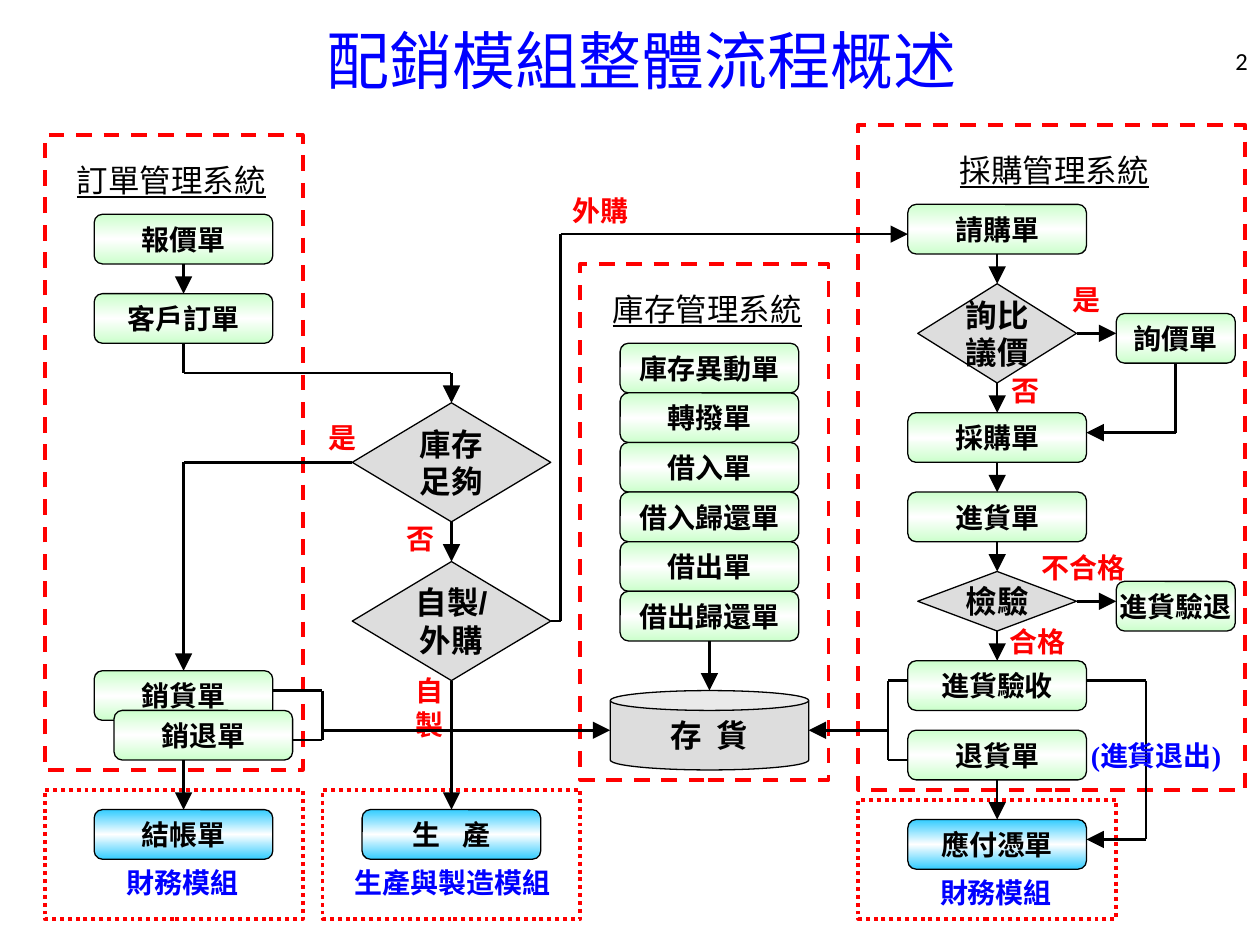
import copy
import itertools

import pptx
import pptx.dml.color
import pptx.enum.dml
import pptx.enum.shapes
import pptx.enum.text
import pptx.oxml
import pptx.oxml.ns
import pptx.util

Pt = pptx.util.Pt
SHAPE = pptx.enum.shapes.MSO_SHAPE
DASH = pptx.enum.dml.MSO_LINE
ALIGN = pptx.enum.text.PP_ALIGN
ANCHOR = pptx.enum.text.MSO_ANCHOR
qn = pptx.oxml.ns.qn

GRID = 5.67  # points per grid step; boxes and positions count these steps
NODE_W, NODE_H = 18, 5
TOP, LEFT, BOTTOM, RIGHT = range(4)

COLORS = {
    "black": "000000", "white": "FFFFFF", "blue": "0000FF", "red": "FF0000",
    "green": "CCFFCC", "sky": "33CCFF", "gray": "DDDDDD",
}
NODE = dict(size=Pt(16), name="Arial", bold=True)
DECISION = dict(size=Pt(18), name="Arial", bold=True)
STOCK = dict(size=Pt(18), name="Noto Sans CJK SC", bold=True)
HEADING = dict(size=Pt(18), name="Arial", underline=True)
MODULE = dict(size=Pt(16), name="Times New Roman", bold=True)
TITLE = dict(size=Pt(36), name="Times New Roman")
NUMBER = dict(size=Pt(14), name="Calibri")


def rgb(color):
    return pptx.dml.color.RGBColor.from_string(COLORS[color])


def steps(*counts):
    return [Pt(GRID * n) for n in counts]


def write(sp, text, fmt, color="black", align=ALIGN.CENTER, wrap=False,
          anchor=ANCHOR.MIDDLE, spacing=None):
    tf = sp.text_frame
    tf.word_wrap = wrap
    tf.vertical_anchor = anchor
    for i, line in enumerate(text.split("\n")):
        p = tf.add_paragraph() if i else tf.paragraphs[0]
        p.alignment = align
        r = p.add_run()
        r.text = line
        for key, value in fmt.items():
            setattr(r.font, key, value)
        r.font.color.rgb = rgb(color)
        if spacing:
            r._r.get_or_add_rPr().set("spc", str(spacing))


def add_text(s, x, y, w, h, text, fmt, color="black", **layout):
    sp = s.shapes.add_textbox(*steps(x, y, w, h))
    write(sp, text, fmt, color, **layout)
    return sp


def add_caption(s, x, y, w, text, fmt, color="black"):
    add_text(s, x, y, w, 5, text, fmt, color, align=ALIGN.LEFT, wrap=True,
             anchor=ANCHOR.TOP)


def add_label(s, x, y, text, w=8, h=5, fmt=NODE, color="red"):
    """Centred label without side margins, red beside a branch."""
    tf = add_text(s, x, y, w, h, text, fmt, color).text_frame
    tf.margin_left = tf.margin_right = Pt(0)


def add_outlined(s, kind, x, y, w, h, line="black", width=0.75):
    sp = s.shapes.add_shape(kind, *steps(x, y, w, h))
    sp.shadow.inherit = False
    sp.line.color.rgb = rgb(line)
    sp.line.width = Pt(width)
    return sp


def add_frame(s, box, dash):
    sp = add_outlined(s, SHAPE.RECTANGLE, *box, line="red", width=2.25)
    sp.fill.background()
    sp.line.dash_style = dash


def add_node(s, x, y, text, w=NODE_W, color="green", spacing=None):
    sp = add_outlined(s, SHAPE.ROUNDED_RECTANGLE, x, y, w, NODE_H)
    sp.fill.gradient()
    sp.fill.gradient_angle = 90
    stops = sp._element.spPr.find(qn("a:gradFill")).find(qn("a:gsLst"))
    stops.insert(1, copy.deepcopy(stops[0]))
    for stop, place, name in zip(sp.fill.gradient_stops, (0, 0.5, 1),
                                 (color, "white", color)):
        stop.position = place
        stop.color.rgb = rgb(name)
    write(sp, text, NODE, spacing=spacing)
    return sp


def add_gray(s, kind, x, y, w, h, text, fmt=DECISION, spacing=None):
    sp = add_outlined(s, kind, x, y, w, h)
    sp.fill.solid()
    sp.fill.fore_color.rgb = rgb("gray")
    write(sp, text, fmt, spacing=spacing)
    return sp


def add_decision(s, x, y, w, h, text):
    return add_gray(s, SHAPE.FLOWCHART_DECISION, x, y, w, h, text)


def locate(end):
    """Grid position of an end given as (x, y) or as (shape, side)."""
    sp, side = end
    if isinstance(sp, (int, float)):
        return end
    dx, dy = ((0.5, 0), (0, 0.5), (0.5, 1), (1, 0.5))[side]
    return ((sp.left + sp.width * dx) / Pt(GRID),
            (sp.top + sp.height * dy) / Pt(GRID))


def add_route(s, *ends, arrow=True):
    """Straight segments through the ends, with an arrowhead on the last."""
    for a, b in itertools.pairwise(ends):
        c = s.shapes.add_connector(pptx.enum.shapes.MSO_CONNECTOR.STRAIGHT,
                                   *steps(*locate(a), *locate(b)))
        c.line.color.rgb = rgb("black")
        c.line.width = Pt(1.5)
        for end, join in ((a, c.begin_connect), (b, c.end_connect)):
            if not isinstance(end[0], (int, float)):
                join(*end)
        if arrow and b is ends[-1]:
            head = pptx.oxml.parse_xml(
                '<a:tailEnd xmlns:a="http://schemas.openxmlformats.org/'
                'drawingml/2006/main" type="triangle" w="lg" len="lg"/>')
            c.line._get_or_add_ln().append(head)
        spPr = c._element.spPr
        spPr.append(spPr.makeelement(qn("a:effectLst"), {}))


def add_orders(s, box):
    x, y, w, h = box
    add_frame(s, box, DASH.DASH)
    add_caption(s, x + 2, y + 2, 26, "訂單管理系統", HEADING)
    quote = add_node(s, x + 5, y + 8, "報價單")
    order = add_node(s, x + 5, y + 16, "客戶訂單")
    sale = add_node(s, x + 5, y + 54, "銷貨單")
    add_node(s, x + 7, y + 58, "銷退單")
    add_route(s, (quote, BOTTOM), (order, TOP))
    add_route(s, (x + 23, y + 56), (x + 28, y + 56), (x + 28, y + 61),
              (x + 25, y + 61), arrow=False)
    return order, sale


def add_sourcing(s, box):
    """Decisions between stock, own production and buying."""
    x, y, w, h = box
    enough = add_decision(s, x, y, w, 12, "庫存\n足夠")
    make = add_decision(s, x, y + 16, w, 12, "自製/\n外購")
    add_label(s, x - 5, y + 1, "是")
    add_label(s, x + 2.9, y + 11.2, "否")
    add_label(s, x + 5.8, y + 26.7, "自\n製", w=4, h=8)
    add_route(s, (enough, BOTTOM), (make, TOP))
    return enough, make


def add_inventory(s, box):
    x, y, w, h = box
    add_frame(s, box, DASH.DASH)
    add_caption(s, x + 2, y + 2, 26, "庫存管理系統", HEADING)
    forms = ("庫存異動單", "轉撥單", "借入單", "借入歸還單", "借出單", "借出歸還單")
    for i, text in enumerate(forms):
        last = add_node(s, x + 4, y + 8 + i * NODE_H, text)
    add_gray(s, SHAPE.CAN, x + 3, y + 43, 20, 8, "存 貨", STOCK, spacing=200)
    add_route(s, (last, BOTTOM), (x + 13, y + 43))


def add_purchasing(s, box):
    x, y, w, h = box
    add_frame(s, box, DASH.DASH)
    add_caption(s, x + 9, y + 2, 26, "採購管理系統", HEADING)
    request = add_node(s, x + 5, y + 8, "請購單")
    compare = add_decision(s, x + 6, y + 16, 16, 10, "詢比\n議價")
    buy = add_node(s, x + 5, y + 29, "採購單")
    receive = add_node(s, x + 5, y + 37, "進貨單")
    inspect = add_decision(s, x + 6, y + 45, 16, 6, "檢驗")
    accept = add_node(s, x + 5, y + 54, "進貨驗收")
    back = add_node(s, x + 5, y + 61, "退貨單")
    inquiry = add_node(s, x + 26, y + 19, "詢價單", w=12)
    add_node(s, x + 26, y + 46, "進貨驗退", w=12)
    for a, b in itertools.pairwise((request, compare, buy, receive, inspect, accept)):
        add_route(s, (a, BOTTOM), (b, TOP))
    add_route(s, (compare, RIGHT), (x + 26, y + 21))
    add_route(s, (inquiry, BOTTOM), (x + 32, y + 31), (x + 23, y + 31))
    add_route(s, (inspect, RIGHT), (x + 26, y + 48))
    add_route(s, (x + 5, y + 56), (x + 3, y + 56), (x + 3, y + 64),
              (x + 5, y + 64), arrow=False)
    add_route(s, (x + 3, y + 61), (x - 5, y + 61))
    add_route(s, (x + 23, y + 56), (x + 29, y + 56), (x + 29, y + 72), (x + 23, y + 72))
    add_label(s, x + 19, y + 15.1, "是")
    add_label(s, x + 12.9, y + 24.2, "否")
    add_label(s, x + 17.7, y + 42.1, "不合格", w=10)
    add_label(s, x + 14.1, y + 49.5, "合格")
    add_label(s, x + 22, y + 61, "(進貨退出)", w=16, fmt=MODULE, color="blue")
    return back


def add_module(s, box, text, name, node_x=5, name_x=7, name_w=15, spacing=None):
    """Dotted frame of a neighbouring module with its entry form."""
    x, y, w, h = box
    add_frame(s, box, DASH.ROUND_DOT)
    add_caption(s, x + name_x, y + 7, name_w, name, MODULE, "blue")
    return add_node(s, x + node_x, y + 2, text, color="sky", spacing=spacing)


def main():
    prs = pptx.Presentation()
    prs.slide_width, prs.slide_height = Pt(720), Pt(540)
    s = prs.slides.add_slide(prs.slide_layouts[6])
    add_text(s, 7.5, 0, 114.3, 12, "配銷模組整體流程概述", TITLE, "blue", wrap=True)
    add_text(s, 97.4, 3.6, 29.6, 5, "2", NUMBER, align=ALIGN.RIGHT, wrap=True)

    order, sale = add_orders(s, (4.5, 13.6, 26, 64))
    enough, make = add_sourcing(s, (35.5, 40.6, 20, 28))
    add_inventory(s, (58.5, 26.6, 25, 52))
    back = add_purchasing(s, (86.5, 12.6, 39, 67))
    bill = add_module(s, (4.5, 79.6, 26, 13), "結帳單", "財務模組")
    produce = add_module(s, (32.5, 79.6, 26, 13), "生 產", "生產與製造模組",
                         node_x=4, name_x=2, name_w=23, spacing=450)
    payable = add_module(s, (86.5, 80.6, 26, 12), "應付憑單", "財務模組")

    add_route(s, (order, BOTTOM), (18.5, 37.6), (45.5, 37.6), (enough, TOP))
    add_route(s, (enough, LEFT), (18.5, 46.6), (sale, TOP))
    add_route(s, (18.5, 76.6), (bill, TOP))
    add_route(s, (make, BOTTOM), (produce, TOP))
    add_route(s, (make, RIGHT), (56.5, 62.6), (56.5, 23.6), (91.5, 23.6))
    add_route(s, (32.5, 73.6), (61.5, 73.6))
    add_route(s, (back, BOTTOM), (payable, TOP))
    add_label(s, 56.5, 18.7, "外購")
    prs.save("out.pptx")


if __name__ == "__main__":
    main()
